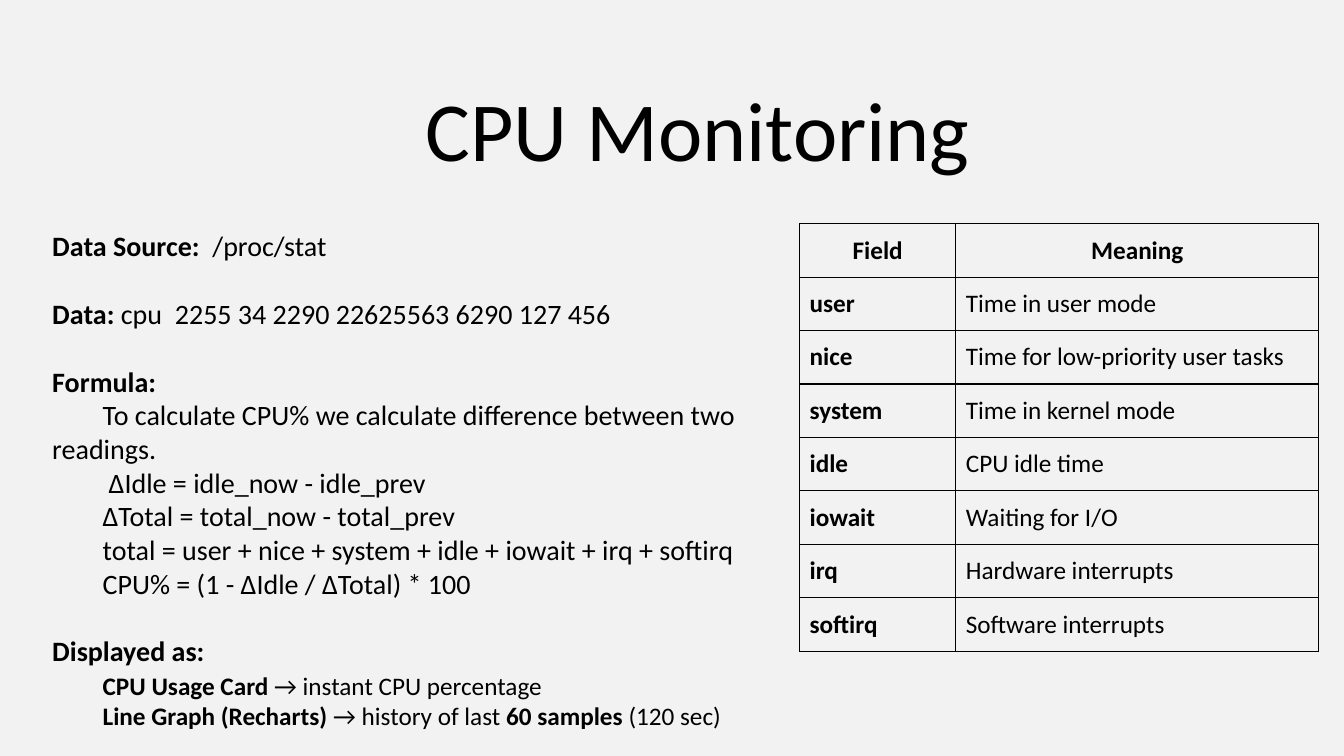
from pptx import Presentation
from pptx import util as u
from pptx.dml import color
from pptx.enum import text
from pptx.oxml import parse_xml
from pptx.oxml.ns import nsdecls

PX_PER_INCH = 100
FONT = "Calibri"
INK = "000000"
PAPER = "F2F2F2"
BLANK_LINE = 24.4
INDENT = 50

NOTES = [
    ([("Data Source:  ", True), ("/proc/stat", False)], {}),
    ([("Data: ", True), ("cpu  2255 34 2290 22625563 6290 127 456", False)],
     {"before": BLANK_LINE}),
    ([("Formula:", True)], {"before": BLANK_LINE}),
    ([("To calculate CPU% we calculate difference between two readings.", False)],
     {"indent": INDENT}),
    ([("ΔIdle = idle_now - idle_prev", False)], {"indent": INDENT + 6}),
    ([("ΔTotal = total_now - total_prev", False)], {"indent": INDENT}),
    ([("total = user + nice + system + idle + iowait + irq + softirq", False)],
     {"indent": INDENT}),
    ([("CPU% = (1 - ΔIdle / ΔTotal) * 100", False)], {"indent": INDENT}),
    ([("Displayed as:", True)], {"before": BLANK_LINE}),
    ([("CPU Usage Card", True), (" → instant CPU percentage", False)],
     {"indent": INDENT, "size": 18, "before": 2}),
    ([("Line Graph (Recharts)", True), (" → history of last ", False),
      ("60 samples", True), (" (120 sec)", False)],
     {"indent": INDENT, "size": 18}),
]

FIELDS = [
    ("Field", "Meaning"),
    ("user", "Time in user mode"),
    ("nice", "Time for low-priority user tasks"),
    ("system", "Time in kernel mode"),
    ("idle", "CPU idle time"),
    ("iowait", "Waiting for I/O"),
    ("irq", "Hardware interrupts"),
    ("softirq", "Software interrupts"),
]


def px(length):
    """Turn px into EMU."""
    return u.Emu(round(length * u.Inches(1) / PX_PER_INCH))


def rgb(value):
    """Turn a hex string into a colour."""
    return color.RGBColor.from_string(value)


def write(para, spans, size=20, align=text.PP_ALIGN.LEFT, before=0, indent=0):
    """Fill a paragraph with (wording, bold) spans."""
    para.alignment = align
    para.space_before = u.Pt(before)
    if indent:
        props = para._p.get_or_add_pPr()
        props.set("marL", "0")
        props.set("indent", str(px(indent)))
    for wording, bold in spans:
        span = para.add_run()
        span.text = wording
        span.font.name = FONT
        span.font.size = u.Pt(size)
        span.font.bold = bold
        span.font.color.rgb = rgb(INK)


def add_text(page, left, top, width, height, paragraphs, wrap=True):
    """Add a text box of (spans, format) paragraphs."""
    box = page.shapes.add_textbox(px(left), px(top), px(width), px(height))
    frame = box.text_frame
    frame.word_wrap = wrap
    frame.auto_size = text.MSO_AUTO_SIZE.SHAPE_TO_FIT_TEXT
    for index, (spans, style) in enumerate(paragraphs):
        para = frame.add_paragraph() if index else frame.paragraphs[0]
        write(para, spans, **style)


def outline_cell(cell):
    """Clear a cell's fill and draw a thin line on each side."""
    cell.fill.background()
    props = cell._tc.get_or_add_tcPr()
    for position, side in enumerate(("lnL", "lnR", "lnT", "lnB")):
        props.insert(position, parse_xml(
            f'<a:{side} {nsdecls("a")} w="{u.Pt(1)}"><a:solidFill>'
            f'<a:srgbClr val="{INK}"/></a:solidFill></a:{side}>'))


def add_field_table(page, left, top, widths, row_height, rows):
    """Add the outlined table with a centred header and bold first column."""
    table = page.shapes.add_table(
        len(rows), len(widths), px(left), px(top),
        px(sum(widths)), px(row_height * len(rows))).table
    table.first_row = table.horz_banding = False
    for column, width in zip(table.columns, widths):
        column.width = px(width)
    for r, row in enumerate(rows):
        table.rows[r].height = px(row_height)
        for c, wording in enumerate(row):
            cell = table.cell(r, c)
            cell.vertical_anchor = text.MSO_ANCHOR.MIDDLE
            align = text.PP_ALIGN.LEFT if r else text.PP_ALIGN.CENTER
            write(cell.text_frame.paragraphs[0], [(wording, r == 0 or c == 0)],
                  size=18, align=align)
            outline_cell(cell)


def main():
    """Build and save the CPU monitoring slide."""
    deck = Presentation()
    deck.slide_width, deck.slide_height = px(1333), px(750)
    page = deck.slides.add_slide(deck.slide_layouts[6])
    page.background.fill.solid()
    page.background.fill.fore_color.rgb = rgb(PAPER)
    add_text(page, 412, 72, 583, 111,
             [([("CPU Monitoring", False)], {"size": 60})], wrap=False)
    add_text(page, 42, 222, 764, 512, NOTES)
    add_field_table(page, 793, 222, (155, 360), 53, FIELDS)
    deck.save("out.pptx")


if __name__ == "__main__":
    main()
